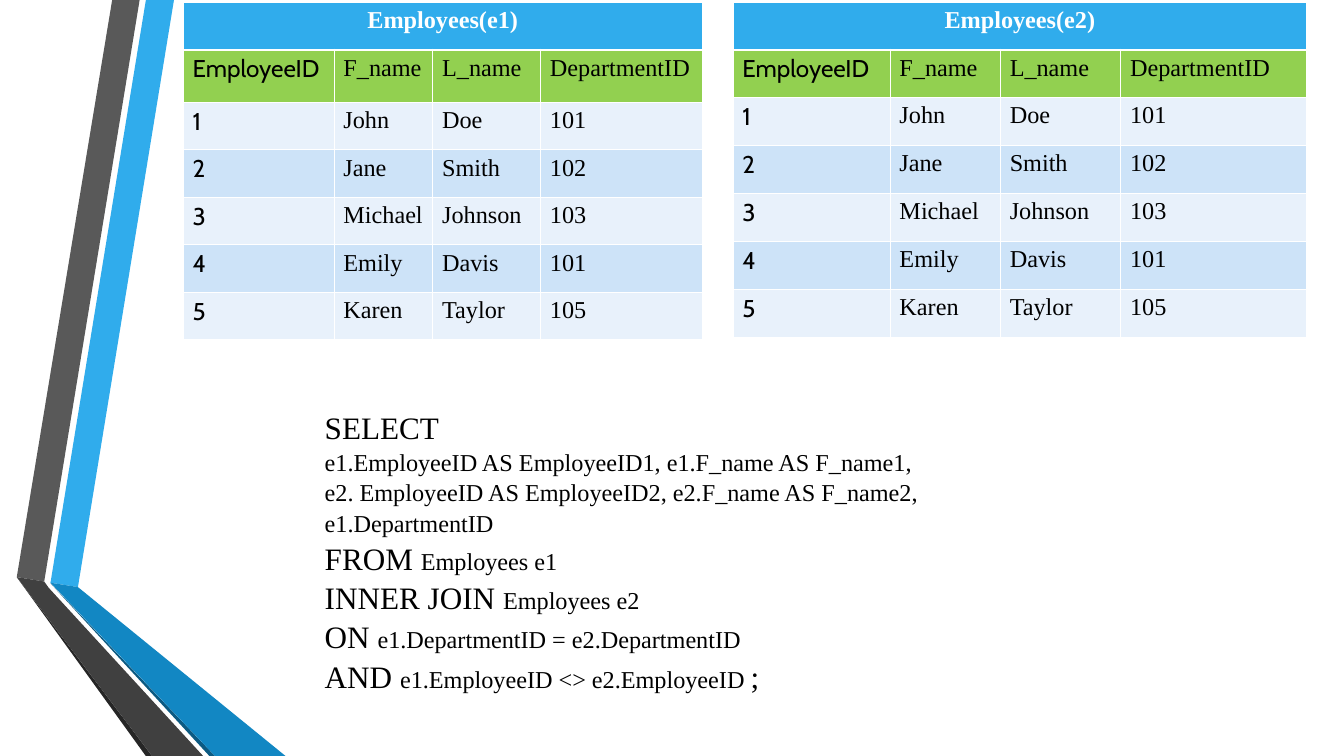
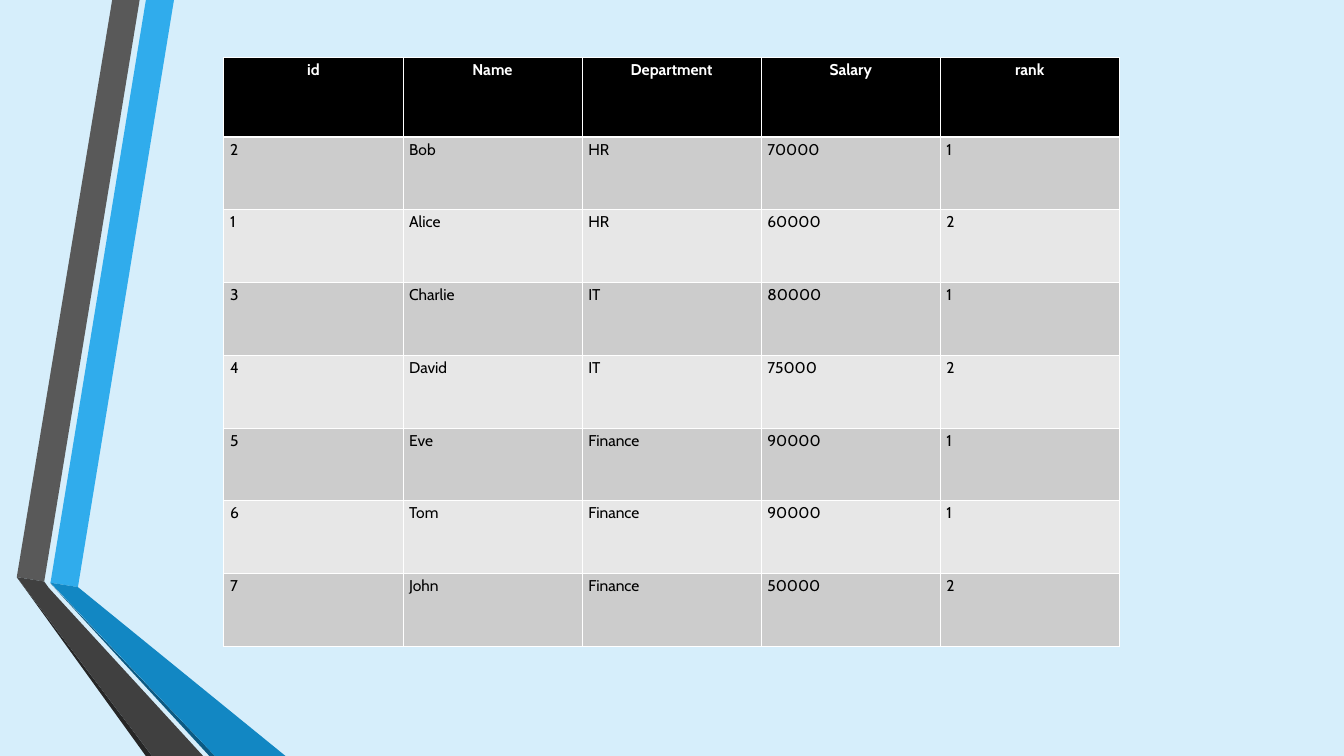
import dataclasses

import lxml.etree
import pptx
import pptx.dml.color
import pptx.enum.text
import pptx.oxml.ns
import pptx.util

Pt = pptx.util.Pt

SLIDE_WIDTH, SLIDE_HEIGHT = 1552.32, 873.36
SERIF, SANS = "Times New Roman", "Cabin"
COLORS = {
    "white": "FFFFFF", "black": "000000", "pale_blue": "D6EEFB",
    "blue": "30ACEC", "deep_blue": "1287C3", "navy": "0C5A82",
    "gray": "595959", "dark_gray": "404040", "charcoal": "262626",
    "green": "92D050", "band_light": "E8F1FB", "band_blue": "CDE3F8",
    "band_gray": "CCCCCC", "band_silver": "E7E7E7",
}

RIBBONS = [
    ("blue", [(58.3, 673.2), (90, 678.2), (200.9, 0), (168.5, 0)]),
    ("gray", [(161.3, 0), (129.6, 0), (19.4, 666.7), (51.1, 671.8)]),
    ("charcoal", [(19.4, 666.7), (168.5, SLIDE_HEIGHT), (175.7, SLIDE_HEIGHT)]),
    ("navy", [(58.3, 673.9), (241.9, SLIDE_HEIGHT), (248.4, SLIDE_HEIGHT)]),
    ("deep_blue", [(58.3, 673.2), (248.4, SLIDE_HEIGHT), (329.8, SLIDE_HEIGHT),
                   (90, 678.2)]),
    ("dark_gray", [(234.7, SLIDE_HEIGHT), (56.2, 679), (51.1, 671.8),
                   (19.4, 666.7), (175.7, SLIDE_HEIGHT)]),
]

EMPLOYEE_FIELDS = ["EmployeeID", "F_name", "L_name", "DepartmentID"]
EMPLOYEES = [
    ["1", "John", "Doe", "101"],
    ["2", "Jane", "Smith", "102"],
    ["3", "Michael", "Johnson", "103"],
    ["4", "Emily", "Davis", "101"],
    ["5", "Karen", "Taylor", "105"],
]

QUERY = [
    [("SELECT", 36)],
    [("e1.EmployeeID AS EmployeeID1, e1.F_name AS F_name1,", 28)],
    [("e2. EmployeeID AS EmployeeID2, e2.F_name AS F_name2,", 28)],
    [("e1.DepartmentID", 28)],
    [("FROM ", 36), ("Employees e1", 28)],
    [("INNER JOIN ", 36), ("Employees e2", 28)],
    [("ON ", 36), ("e1.DepartmentID = e2.DepartmentID", 28)],
    [("AND ", 36), ("e1.EmployeeID <> e2.EmployeeID ", 28), (";", 36)],
]

SALARY_FIELDS = ["id", "Name", "Department", "Salary", "rank"]
SALARY_RANKS = [
    ["2", "Bob", "HR", "70000", "1"],
    ["1", "Alice", "HR", "60000", "2"],
    ["3", "Charlie", "IT", "80000", "1"],
    ["4", "David", "IT", "75000", "2"],
    ["5", "Eve", "Finance", "90000", "1"],
    ["6", "Tom", "Finance", "90000", "1"],
    ["7", "John", "Finance", "50000", "2"],
]


@dataclasses.dataclass
class CellStyle:
    """Look of one table cell."""
    fill: str
    font: str
    size: float
    color: str = "black"
    header: bool = False
    top_border: float = 1
    inset_x: float = 7.2
    inset_y: float = 3.6


def rgb(name):
    """Return the named colour."""
    return pptx.dml.color.RGBColor.from_string(COLORS[name])


def add_run(paragraph, words, font, size, color, bold=False):
    """Add one formatted run to a paragraph."""
    run = paragraph.add_run()
    run.text = words
    run.font.name = font
    run.font.size = Pt(size)
    run.font.bold = bold
    run.font.color.rgb = rgb(color)


def set_borders(cell, top, bottom):
    """Draw white borders on the four sides of a cell."""
    properties = cell._tc.get_or_add_tcPr()
    qn = pptx.oxml.ns.qn
    for side, width in (("L", 1), ("R", 1), ("T", top), ("B", bottom)):
        line = lxml.etree.SubElement(properties, qn(f"a:ln{side}"), w=str(Pt(width)))
        fill = lxml.etree.SubElement(line, qn("a:solidFill"))
        lxml.etree.SubElement(fill, qn("a:srgbClr"), val=COLORS["white"])


def fill_cell(cell, words, style):
    """Write and format one cell."""
    set_borders(cell, style.top_border, 3 if style.header else 1)
    cell.fill.solid()
    cell.fill.fore_color.rgb = rgb(style.fill)
    cell.margin_left = cell.margin_right = Pt(style.inset_x)
    cell.margin_top = cell.margin_bottom = Pt(style.inset_y)
    if words:
        paragraph = cell.text_frame.paragraphs[0]
        if style.header:
            paragraph.alignment = pptx.enum.text.PP_ALIGN.CENTER
        add_run(paragraph, words, style.font, style.size, style.color, style.header)


def add_grid(slide, left, top, widths, heights, rows, style_for):
    """Place a table whose cells take their look from style_for(row, column)."""
    grid = slide.shapes.add_table(
        len(heights), len(widths), Pt(left), Pt(top),
        Pt(sum(widths)), Pt(sum(heights))).table
    grid.horz_banding = False
    for column, width in zip(grid.columns, widths):
        column.width = Pt(width)
    for row, height in zip(grid.rows, heights):
        row.height = Pt(height)
    for r, record in enumerate(rows):
        for c, words in enumerate(record):
            fill_cell(grid.cell(r, c), words, style_for(r, c))
    return grid


def employee_style(row, column):
    """Choose the look of a cell in an employee table."""
    insets = {"inset_x": 10.8, "inset_y": 5.5}
    if row == 0:
        return CellStyle("blue", SERIF, 28, "white", header=True, **insets)
    font = SANS if column == 0 else SERIF
    if row == 1:
        return CellStyle("green", font, 28, top_border=3, **insets)
    return CellStyle(("band_light", "band_blue")[row % 2], font, 28, **insets)


def salary_style(row, column):
    """Choose the look of a cell in the salary table."""
    if row == 0:
        return CellStyle("black", SANS, 18, "white", header=True)
    return CellStyle(("band_silver", "band_gray")[row % 2], SANS, 18,
                     top_border=3 if row == 1 else 1)


def add_employees(slide, caption, left, top, widths, heights):
    """Place an employee table under a merged caption row."""
    caption_row = [caption] + [""] * (len(widths) - 1)
    grid = add_grid(slide, left, top, widths, heights,
                    [caption_row, EMPLOYEE_FIELDS] + EMPLOYEES, employee_style)
    grid.cell(0, 0).merge(grid.cell(0, len(widths) - 1))


def add_query(slide, left, top, width, height):
    """Place the SQL statement."""
    frame = slide.shapes.add_textbox(Pt(left), Pt(top), Pt(width), Pt(height)).text_frame
    frame.word_wrap = True
    frame.auto_size = pptx.enum.text.MSO_AUTO_SIZE.SHAPE_TO_FIT_TEXT
    for index, clause in enumerate(QUERY):
        paragraph = frame.add_paragraph() if index else frame.paragraphs[0]
        paragraph.line_spacing = 1.05
        for words, size in clause:
            add_run(paragraph, words, SERIF, size, "black")


def add_ribbons(slide):
    """Draw the folded ribbons and move them to the layout of the slide."""
    layout_tree = slide.slide_layout.shapes.element
    for index, (color, outline) in enumerate(RIBBONS):
        points = [(Pt(x), Pt(y)) for x, y in outline]
        builder = slide.shapes.build_freeform(*points[0], scale=1.0)
        builder.add_line_segments(points[1:], close=True)
        ribbon = builder.convert_to_shape()
        ribbon.shadow.inherit = False
        ribbon.fill.solid()
        ribbon.fill.fore_color.rgb = rgb(color)
        ribbon.line.fill.background()
        ribbon.element.nvSpPr.cNvPr.set("id", str(100 + index))
        layout_tree.insert(2 + index, ribbon.element)


def add_slide(deck, background):
    """Add a blank slide with a plain background."""
    slide = deck.slides.add_slide(deck.slide_layouts[6])
    slide.background.fill.solid()
    slide.background.fill.fore_color.rgb = rgb(background)
    return slide


def build_self_join(slide):
    """Fill the slide that joins the employee table with itself."""
    add_employees(slide, "Employees(e1)", 211.7, 2.9,
                  [174.2, 114, 124.6, 186.5], [54.7, 60.5] + [54.9] * 5)
    add_query(slide, 368, 466, 931, 327)
    add_employees(slide, "Employees(e2)", 846.7, 2.9,
                  [181.4, 127.4, 139, 214.6], [54.7] * 2 + [55.4] * 5)


def build_salary_ranks(slide):
    """Fill the slide that ranks salaries by department."""
    add_grid(slide, 258.5, 66.2, [206.9] * 5, [92.2] + [84] * 7,
             [SALARY_FIELDS] + SALARY_RANKS, salary_style)


def main():
    """Build and save the deck."""
    deck = pptx.Presentation()
    deck.slide_width, deck.slide_height = Pt(SLIDE_WIDTH), Pt(SLIDE_HEIGHT)
    self_join = add_slide(deck, "white")
    add_ribbons(self_join)
    build_self_join(self_join)
    build_salary_ranks(add_slide(deck, "pale_blue"))
    deck.save("out.pptx")


if __name__ == "__main__":
    main()
